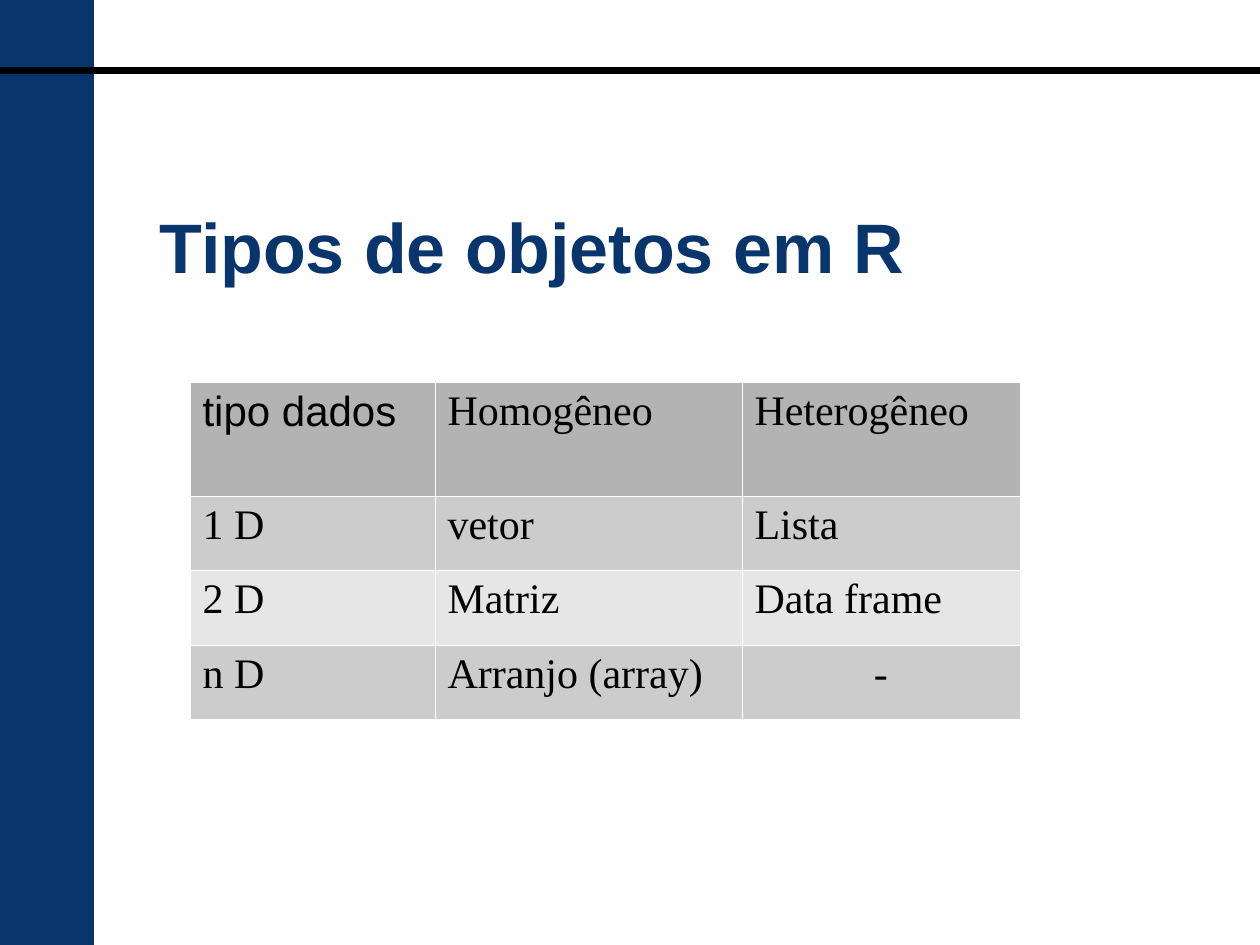
from lxml.etree import SubElement
from pptx import Presentation
from pptx.dml.color import RGBColor
from pptx.enum.shapes import MSO_SHAPE as Shape
from pptx.enum.text import MSO_ANCHOR as Anchor, PP_ALIGN as Align
from pptx.oxml.ns import qn
from pptx.util import Emu, Pt

SCALE = 914400 / 126
NAVY, BLACK, WHITE = "09356D", "000000", "FFFFFF"
HEADER_GREY, BAND_GREYS = "B3B3B3", ("CCCCCC", "E6E6E6")
COLUMNS, ROWS = (245, 307, 278), (114, 74, 75, 74)
OBJECT_TYPES = (
    ("tipo dados", "Homogêneo", "Heterogêneo"),
    ("1 D", "vetor", "Lista"),
    ("2 D", "Matriz", "Data frame"),
    ("n D", "Arranjo (array)", "-"),
)


def px(length):
    """Turn pixels into EMU."""
    return Emu(round(length * SCALE))


def color(code):
    """Turn a hex string into a colour."""
    return RGBColor.from_string(code)


def style(paragraph, font, size, code, bold=False):
    """Format every run of a paragraph."""
    for run in paragraph.runs:
        run.font.name, run.font.size, run.font.bold = font, Pt(size), bold
        run.font.color.rgb = color(code)


def add_bar(slide, box, code):
    """Add a plain filled bar."""
    bar = slide.shapes.add_shape(Shape.RECTANGLE, *map(px, box))
    bar.shadow.inherit = False
    bar.fill.solid()
    bar.fill.fore_color.rgb = color(code)
    bar.line.fill.background()


def add_frame(slide, box):
    """Add the side band and the rule across the top of the box."""
    left, top, width, height = box
    add_bar(slide, (left, top, 94, height), NAVY)
    add_bar(slide, (left, top + 67, width, 7), BLACK)


def add_title(slide, box, wording):
    """Place and format the title placeholder."""
    title = slide.shapes.title
    title.left, title.top, title.width, title.height = map(px, box)
    frame = title.text_frame
    frame.text = wording
    frame.word_wrap = True
    frame.vertical_anchor = Anchor.TOP
    frame.margin_top = px(15)
    frame.paragraphs[0].alignment = Align.LEFT
    style(frame.paragraphs[0], "Arial", 40, NAVY, True)


def add_borders(cell):
    """Draw thin white borders round a cell."""
    properties = cell._tc.get_or_add_tcPr()
    for position, side in enumerate(("a:lnL", "a:lnR", "a:lnT", "a:lnB")):
        border = SubElement(properties, qn(side), w="762")
        properties.insert(position, border)
        fill = SubElement(border, qn("a:solidFill"))
        SubElement(fill, qn("a:srgbClr"), val=WHITE)


def add_types_table(slide, box):
    """Add the table of object types."""
    table = slide.shapes.add_table(len(ROWS), len(COLUMNS), *map(px, box)).table
    for column, width in zip(table.columns, COLUMNS):
        column.width = px(width)
    for row_index, (row, height) in enumerate(zip(table.rows, ROWS)):
        row.height = px(height)
        grey = BAND_GREYS[(row_index - 1) % 2] if row_index else HEADER_GREY
        for column_index, cell in enumerate(row.cells):
            cell.text = OBJECT_TYPES[row_index][column_index]
            cell.fill.solid()
            cell.fill.fore_color.rgb = color(grey)
            add_borders(cell)
            entry = cell.text_frame.paragraphs[0]
            entry.alignment = Align.CENTER if cell.text == "-" else Align.LEFT
            font = "Arial" if row_index == column_index == 0 else "Times New Roman"
            style(entry, font, 24, BLACK)


def main():
    """Build and save the slide."""
    deck = Presentation()
    deck.slide_width, deck.slide_height = px(1260), px(945)
    slide = deck.slides.add_slide(deck.slide_layouts[5])
    add_frame(slide, (0, 0, 1260, 945))
    add_title(slide, (147, 189, 795, 181), "Tipos de objetos em R")
    add_types_table(slide, (190, 382, sum(COLUMNS), sum(ROWS)))
    deck.save("out.pptx")


main()
